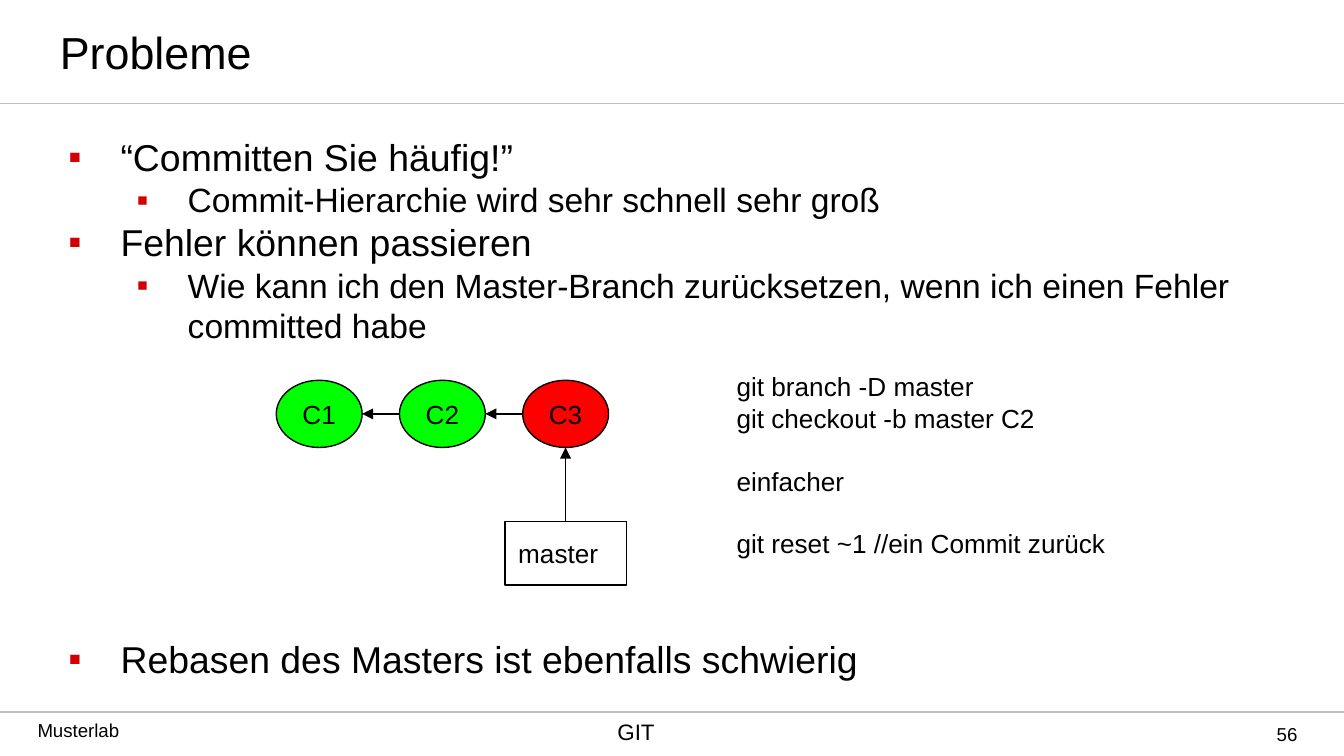
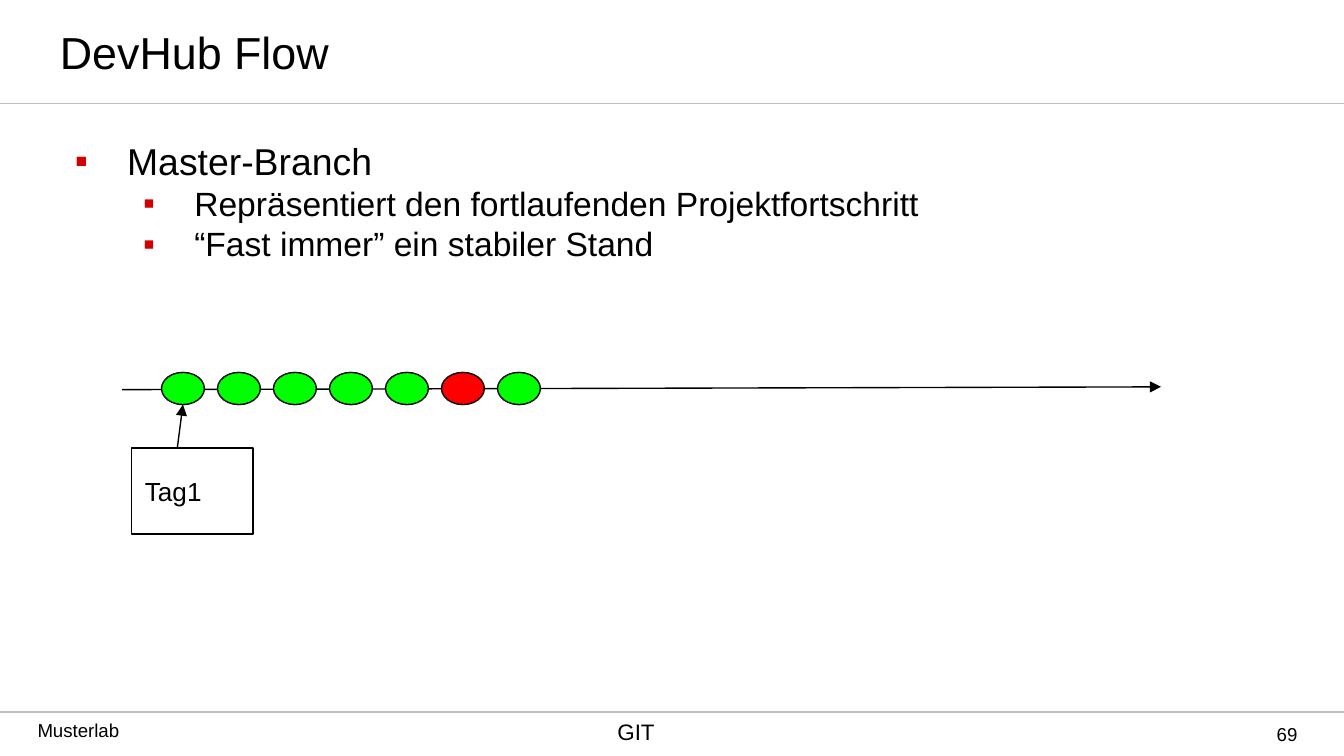
import pptx
import pptx.dml.color
import pptx.enum.shapes
import pptx.enum.text
import pptx.oxml
import pptx.oxml.ns
import pptx.util
from lxml import etree

Pt = pptx.util.Pt
MSO_SHAPE = pptx.enum.shapes.MSO_SHAPE
PP_ALIGN = pptx.enum.text.PP_ALIGN
MSO_ANCHOR = pptx.enum.text.MSO_ANCHOR
qn = pptx.oxml.ns.qn

COLORS = {
    "text": "000000",
    "rule": "BFBFBF",
    "bullet": "D20000",
    "good": "00FF00",
    "bad": "FF0000",
    "paper": "FFFFFF",
}
WIDTH, HEIGHT = 720, 405
HEADER_Y, FOOTER_Y = 55.5, 381.5
# Per outline level: font size, left margin, hanging indent
LEVELS = [(20, 36, 28), (18, 72, 27.4)]


def rgb(name):
    return pptx.dml.color.RGBColor.from_string(COLORS[name])


class Deck:
    font = "Arial"
    node_size = 14
    outline = 0.75

    def __init__(self):
        self.prs = pptx.Presentation()
        self.prs.slide_width, self.prs.slide_height = Pt(WIDTH), Pt(HEIGHT)
        self.slide = None

    def new_slide(self, title, number):
        """Add a slide with title, rules and footer."""
        self.slide = self.prs.slides.add_slide(self.prs.slide_layouts[6])
        for y in (FOOTER_Y, HEADER_Y):
            self.line((0, y), (WIDTH, y), "rule", 1)
        self.text((13, 385, 140, 16), ["Musterlab"], 10, inset=(7.2, 0))
        self.text((228, 384.5, 225.5, 24), ["GIT"], 12, inset=(7.2, 0), align=PP_ALIGN.CENTER)
        self.text((25, 0, 448, HEADER_Y), [title], 24, anchor=MSO_ANCHOR.MIDDLE)
        self.text((630, FOOTER_Y, 65, 24), [number], 10, inset=(0, 0),
                  align=PP_ALIGN.RIGHT, anchor=MSO_ANCHOR.MIDDLE)

    def prepare(self, frame, inset, anchor=MSO_ANCHOR.TOP):
        """Set wrapping, margins and anchor of a text frame."""
        frame.word_wrap = True
        frame.vertical_anchor = anchor
        frame.margin_left = frame.margin_right = Pt(inset[0])
        frame.margin_top = frame.margin_bottom = Pt(inset[1])

    def paragraph(self, frame, index, text, size, align=None, before=0):
        """Fill one paragraph and return it."""
        para = frame.paragraphs[0] if index == 0 else frame.add_paragraph()
        para.alignment = align or PP_ALIGN.LEFT
        para.space_before = Pt(before)
        run = para.add_run()
        run.text = text
        run.font.name, run.font.size = self.font, Pt(size)
        run.font.color.rgb = rgb("text")
        return para

    def text(self, box, lines, size, inset=(7.2, 3.6), align=None,
             anchor=MSO_ANCHOR.TOP, gaps=()):
        """Add a text box; gaps holds the space before each line."""
        frame = self.slide.shapes.add_textbox(*map(Pt, box)).text_frame
        self.prepare(frame, inset, anchor)
        for i, line in enumerate(lines):
            self.paragraph(frame, i, line, size, align, gaps[i] if gaps else 0)

    def bullets(self, left, top, items):
        """Add the outline from (level, space before, text) items."""
        frame = self.slide.shapes.add_textbox(Pt(left), Pt(top), Pt(669), Pt(301)).text_frame
        self.prepare(frame, (7.2, 3.6))
        for i, (level, before, text) in enumerate(items):
            size, margin, hanging = LEVELS[level]
            para = self.paragraph(frame, i, text, size, before=before)
            para.level = level
            props = para._p.get_or_add_pPr()
            props.set("marL", str(Pt(margin)))
            props.set("indent", str(-Pt(hanging)))
            color = etree.SubElement(props, qn("a:buClr"))
            etree.SubElement(color, qn("a:srgbClr")).set("val", COLORS["bullet"])
            etree.SubElement(props, qn("a:buFont")).set("typeface", self.font)
            etree.SubElement(props, qn("a:buChar")).set("char", "▪")

    def node(self, kind, box, fill=None, label=None, centered=False):
        """Add an outlined shape; a centred label stays on one line."""
        shape = self.slide.shapes.add_shape(kind, *map(Pt, box))
        shape.shadow.inherit = False
        if fill:
            shape.fill.solid()
            shape.fill.fore_color.rgb = rgb(fill)
        else:
            shape.fill.background()
        shape.line.color.rgb = rgb("text")
        shape.line.width = Pt(self.outline)
        if label:
            frame = shape.text_frame
            self.prepare(frame, (7.2, 7.2), MSO_ANCHOR.MIDDLE)
            frame.word_wrap = not centered
            self.paragraph(frame, 0, label, self.node_size, PP_ALIGN.CENTER if centered else None)

    def line(self, start, end, color="text", width=outline, arrow=False):
        line = self.slide.shapes.add_connector(
            pptx.enum.shapes.MSO_CONNECTOR.STRAIGHT, *map(Pt, (*start, *end)))
        line.line.color.rgb = rgb(color)
        line.line.width = Pt(width)
        if arrow:
            etree.SubElement(line.line._get_or_add_ln(), qn("a:tailEnd")).set("type", "triangle")
        etree.SubElement(line._element.spPr, qn("a:effectLst"))


def problems_slide(deck):
    deck.new_slide("Probleme", "56")
    deck.bullets(21.5, 68.5, [
        (0, 6, "“Committen Sie häufig!”"),
        (1, 0, "Commit-Hierarchie wird sehr schnell sehr groß"),
        (0, 0, "Fehler können passieren"),
        (1, 0, "Wie kann ich den Master-Branch zurücksetzen, wenn ich einen Fehler committed habe"),
        (0, 156, "Rebasen des Masters ist ebenfalls schwierig"),
    ])
    first, pitch, top, width, height = 148, 66, 203.75, 46, 36
    middle = top + height / 2
    for i, (commit, state) in enumerate([("C1", "good"), ("C2", "good"), ("C3", "bad")]):
        left = first + i * pitch
        deck.node(MSO_SHAPE.OVAL, (left, top, width, height), state, commit, centered=True)
        if i:
            deck.line((left, middle), (left - pitch + width, middle), arrow=True)
    head = first + 2 * pitch + width / 2
    master_top = 279.5
    deck.node(MSO_SHAPE.RECTANGLE, (head - 32.5, master_top, 65, 34), label="master")
    deck.line((head, master_top), (head, top + height), arrow=True)
    deck.text((387.5, 191.5, 299, 116.5), [
        "git branch -D master",
        "git checkout -b master C2",
        "einfacher",
        "git reset ~1 //ein Commit zurück",
    ], 14, inset=(7.2, 7.2), gaps=(0, 0, 16.8, 16.8))


def flow_slide(deck):
    deck.new_slide("DevHub Flow", "69")
    deck.bullets(25, 70.5, [
        (0, 6, "Master-Branch"),
        (1, 0, "Repräsentiert den fortlaufenden Projektfortschritt"),
        (1, 0, "“Fast immer” ein stabiler Stand"),
    ])
    deck.line((65.5, 208.75), (622, 207.25), arrow=True)
    first, pitch, top, width, height = 86.5, 30, 199.5, 23, 17.25
    for i, state in enumerate(["good"] * 5 + ["bad", "good"]):
        deck.node(MSO_SHAPE.OVAL, (first + i * pitch, top, width, height), state)
    tag_top = 240
    deck.line((95, tag_top), (first + width / 2, top + height), arrow=True)
    deck.node(MSO_SHAPE.RECTANGLE, (70.5, tag_top, 65, 46), "paper", "Tag1")


def main():
    deck = Deck()
    problems_slide(deck)
    flow_slide(deck)
    deck.prs.save("out.pptx")


if __name__ == "__main__":
    main()
